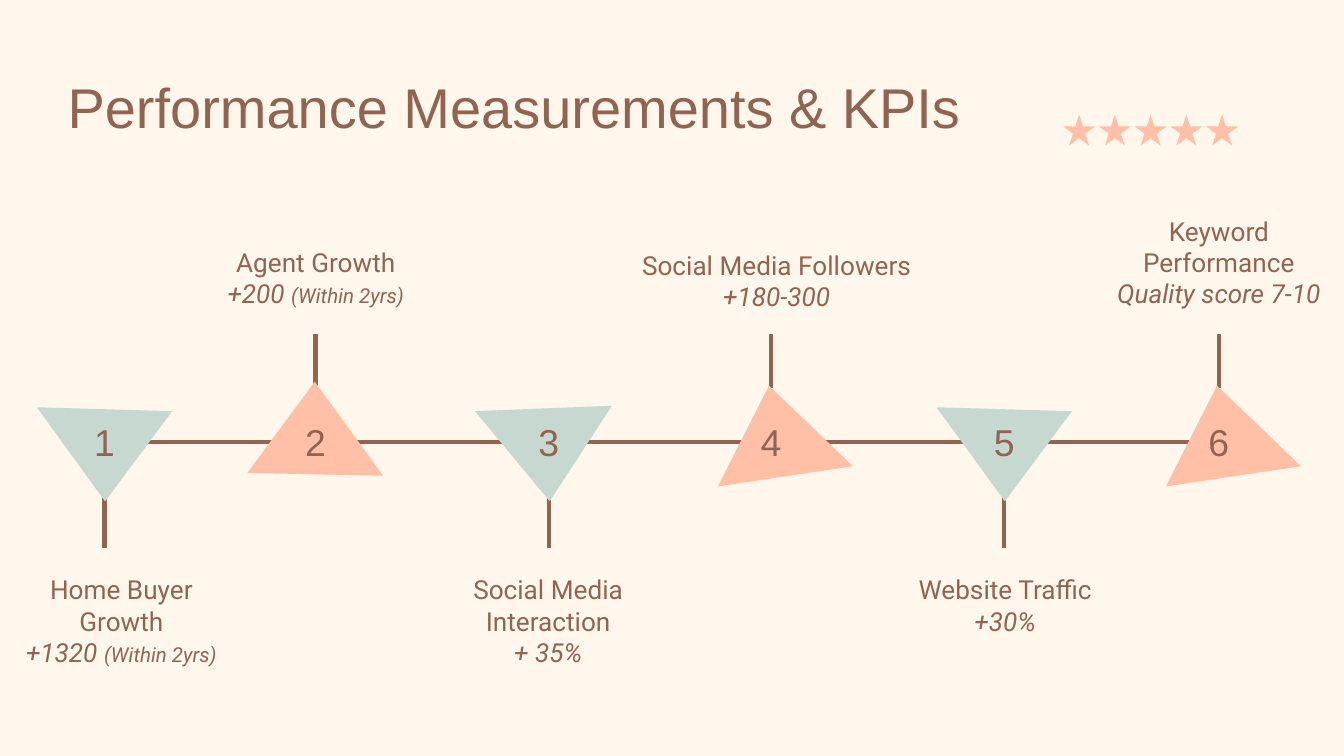
from lxml import etree
from pptx import Presentation
from pptx.dml.color import RGBColor
from pptx.enum.shapes import MSO_CONNECTOR as CONNECTOR, MSO_SHAPE as SHAPE
from pptx.enum.text import MSO_ANCHOR as ANCHOR, MSO_AUTO_SIZE as AUTO_SIZE, PP_ALIGN as ALIGN
from pptx.oxml.ns import qn
from pptx.util import Pt

CREAM, BROWN, PEACH, SAGE = "FFF6EC", "916452", "FFC0A7", "C7D8D0"


def paint(fill, color):
    fill.solid()
    fill.fore_color.rgb = RGBColor.from_string(color)


def write(shape, lines, font_name, align, anchor):
    frame = shape.text_frame
    frame.word_wrap = True
    frame.auto_size = AUTO_SIZE.NONE
    frame.vertical_anchor = anchor
    frame.margin_left = frame.margin_right = Pt(7.2)
    frame.margin_top = frame.margin_bottom = Pt(7.2)
    for index, line in enumerate(lines):
        paragraph = frame.add_paragraph() if index else frame.paragraphs[0]
        paragraph.alignment = align
        for text, size, italic in line:
            run = paragraph.add_run()
            run.text = text
            run.font.name = font_name
            run.font.size = Pt(size)
            run.font.italic = italic
            paint(run.font.fill, BROWN)


presentation = Presentation()
presentation.slide_width, presentation.slide_height = Pt(720), Pt(405)
slide = presentation.slides.add_slide(presentation.slide_layouts[5])
shapes = slide.shapes
paint(slide.background.fill, CREAM)

title = shapes.title
title.left, title.top, title.width, title.height = Pt(29), Pt(31.7), Pt(608), Pt(45.4)
write(title, [[("Performance Measurements & KPIs", 30, False)]], "Arial", ALIGN.LEFT, ANCHOR.TOP)

for index in range(5):
    star = shapes.add_shape(SHAPE.STAR_5_POINT, Pt(569.5 + 19.15 * index), Pt(61.4), Pt(17.2), Pt(16.6))
    star.shadow.inherit = False
    star.line.fill.background()
    paint(star.fill, PEACH)

level_down = [(36.3, 220.3), (0.3, 268.6), (-36.3, 218.2)]
level_up = [(-36.5, 253.4), (-0.3, 204.5), (36.3, 254.9)]
tilted_down = [(33.8, 217.4), (0.5, 268.6), (-39.6, 220.3)]
tilted_up = [(-28.4, 260.6), (-1, 206.6), (44, 249.8)]

kpis = [
    (56, level_down, -2.2, 300.2, 134.6, "Home Buyer Growth", [("+1320 ", 14), ("(Within 2yrs)", 11)]),
    (169, level_up, 110.9, 115.9, 116.6, "Agent Growth", [("+200 ", 14), ("(Within 2yrs)", 11)]),
    (294, tilted_down, 235.4, 300.2, 116.6, "Social Media Interaction", [("+ 35%", 14)]),
    (413, tilted_up, 318.2, 117.4, 195.8, "Social Media Followers", [("+180-300", 14)]),
    (538, level_down, 480.2, 300.2, 116.6, "Website Traffic", [("+30%", 14)]),
    (653, tilted_up, 584.6, 115.9, 136.8, "Keyword Performance", [("Quality score 7-10", 14)]),
]

lines = [(62.6, 236.9, 657.4, 236.9)]
for center, triangle, *_ in kpis:
    top = 265 if triangle in (level_down, tilted_down) else 179.2
    lines.append((center, top, center, top + 28.8))
for ends in lines:
    connector = shapes.add_connector(CONNECTOR.STRAIGHT, *map(Pt, ends))
    connector.line.width = Pt(2.25)
    paint(connector.line.fill, BROWN)
    etree.SubElement(connector._element.spPr, qn("a:effectLst"))

for number, (center, triangle, left, top, width, name, target) in enumerate(kpis, 1):
    points_down = triangle in (level_down, tilted_down)
    corners = [(Pt(center + x), Pt(y)) for x, y in triangle]
    builder = shapes.build_freeform(*corners[0])
    builder.add_line_segments(corners[1:], close=True)
    marker = builder.convert_to_shape()
    marker.shadow.inherit = False
    marker.line.fill.background()
    paint(marker.fill, SAGE if points_down else PEACH)

    number_box = shapes.add_textbox(Pt(center - 31.3), Pt(225.4), Pt(62.6), Pt(22.3))
    write(number_box, [[(str(number), 20, False)]], "Arial", ALIGN.CENTER, ANCHOR.MIDDLE)

    label = shapes.add_textbox(Pt(left), Pt(top), Pt(width), Pt(56.9))
    target_line = [(text, size, True) for text, size in target]
    anchor = ANCHOR.TOP if points_down else ANCHOR.BOTTOM
    write(label, [[(name, 14, False)], target_line], "Roboto", ALIGN.CENTER, anchor)

presentation.save("out.pptx")
